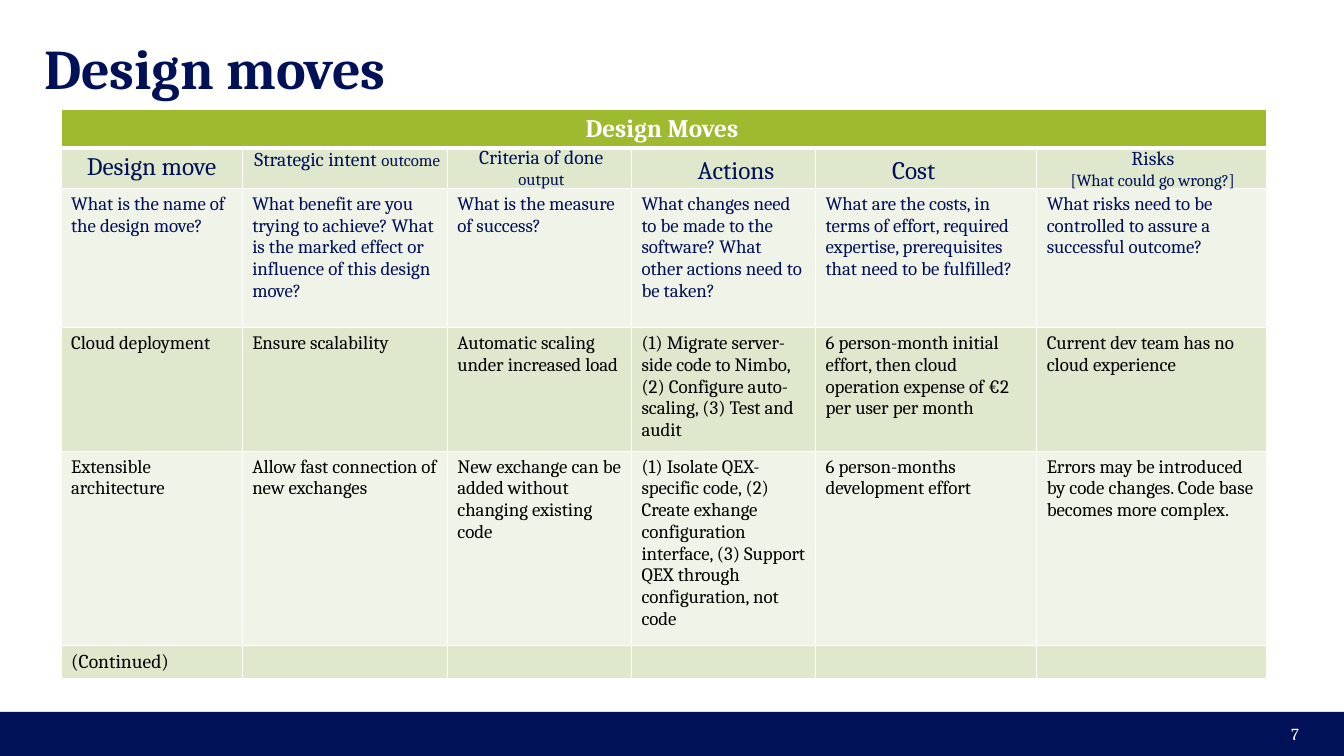
from dataclasses import dataclass

from lxml.etree import SubElement
from pptx import Presentation
from pptx.dml.color import RGBColor
from pptx.enum.shapes import MSO_SHAPE
from pptx.enum.text import MSO_ANCHOR, PP_ALIGN
from pptx.oxml.ns import qn
from pptx.util import Pt

EMU_PER_PIXEL = 914400 / 100.7


@dataclass(frozen=True)
class Theme:
    """Colours, type sizes and font of the slide."""
    font: str = "Cambria"
    navy: str = "001158"
    green: str = "9EBA2E"
    band_dark: str = "DFE7CD"
    band_light: str = "F0F3E8"
    white: str = "FFFFFF"
    black: str = "000000"
    title: float = 40
    heading: float = 18
    label: float = 14
    body: float = 13.5
    small: float = 12


THEME = Theme()

COLUMN_WIDTHS = [181, 205, 184, 184, 221, 230]
ROW_HEIGHTS = [39, 39, 139, 119, 194, 32]

QUESTIONS = [
    "What is the name of the design move?",
    "What benefit are you trying to achieve? What is the marked effect or "
    "influence of this design move?",
    "What is the measure of success?",
    "What changes need to be made to the software? What other actions need "
    "to be taken?",
    "What are the costs, in terms of effort, required expertise, "
    "prerequisites that need to be fulfilled?",
    "What risks need to be controlled to assure a successful outcome?",
]
CLOUD_MOVE = [
    "Cloud deployment",
    "Ensure scalability",
    "Automatic scaling under increased load",
    "(1) Migrate server-side code to Nimbo, (2) Configure auto-scaling, "
    "(3) Test and audit",
    "6 person-month initial effort, then cloud operation expense of €2 per "
    "user per month",
    "Current dev team has no cloud experience",
]
EXTENSIBLE_MOVE = [
    "Extensible architecture",
    "Allow fast connection of new exchanges",
    "New exchange can be added without changing existing code",
    "(1) Isolate QEX-specific code, (2) Create exhange configuration "
    "interface, (3) Support QEX through configuration, not code",
    "6 person-months development effort",
    "Errors may be introduced by code changes. Code base becomes more complex.",
]


def px(pixels):
    """Turn whole pixels into EMU."""
    return round(pixels * EMU_PER_PIXEL)


def write_text(frame, *paragraphs, color=THEME.navy, bold=False,
               align=PP_ALIGN.LEFT):
    """Fill a text frame; each paragraph is a list of (text, size) runs."""
    for index, runs in enumerate(paragraphs):
        paragraph = frame.add_paragraph() if index else frame.paragraphs[0]
        paragraph.alignment = align
        for text, size in runs:
            run = paragraph.add_run()
            run.text = text
            run.font.name = THEME.font
            run.font.size = Pt(size)
            run.font.bold = bold
            run.font.color.rgb = RGBColor.from_string(color)


def add_text(slide, box, *paragraphs, inset=12, anchor=MSO_ANCHOR.TOP,
             **text_format):
    """Add a wrapping text box with equal insets."""
    frame = slide.shapes.add_textbox(*map(px, box)).text_frame
    frame.word_wrap = True
    frame.vertical_anchor = anchor
    frame.margin_left = frame.margin_right = px(inset)
    frame.margin_top = frame.margin_bottom = px(inset)
    write_text(frame, *paragraphs, **text_format)


def add_footer_bar(slide):
    """Add the navy bar along the bottom edge."""
    bar = slide.shapes.add_shape(MSO_SHAPE.RECTANGLE, 0, px(711), px(1343), px(44))
    bar.shadow.inherit = False
    bar.fill.solid()
    bar.fill.fore_color.rgb = RGBColor.from_string(THEME.navy)
    bar.line.fill.background()


def style_cell(cell, fill, top=1, bottom=1):
    """Give a cell its white borders, in points, and its fill."""
    properties = cell._tc.get_or_add_tcPr()
    for side, width in zip("LRTB", (1, 1, top, bottom)):
        border = SubElement(properties, qn(f"a:ln{side}"), w=str(Pt(width)))
        solid = SubElement(border, qn("a:solidFill"))
        SubElement(solid, qn("a:srgbClr"), val=THEME.white)
    cell.fill.solid()
    cell.fill.fore_color.rgb = RGBColor.from_string(fill)


def add_moves_table(slide):
    """Add the table of design moves."""
    blanks = [""] * (len(COLUMN_WIDTHS) - 1)
    center = PP_ALIGN.CENTER
    rows = [
        (["", *blanks], THEME.green, {}, THEME.heading),
        (["Design move", *blanks], THEME.band_dark, {"align": center}, THEME.heading),
        (QUESTIONS, THEME.band_light, {}, THEME.body),
        (CLOUD_MOVE, THEME.band_dark, {"color": THEME.black}, THEME.body),
        (EXTENSIBLE_MOVE, THEME.band_light, {"color": THEME.black}, THEME.body),
        (["(Continued)", *blanks], THEME.band_dark, {"color": THEME.black},
         THEME.label),
    ]
    moves = slide.shapes.add_table(
        len(rows), len(COLUMN_WIDTHS), px(61), px(109),
        px(sum(COLUMN_WIDTHS)), px(sum(ROW_HEIGHTS))).table
    moves.first_row = moves.horz_banding = False
    for column, width in zip(moves.columns, COLUMN_WIDTHS):
        column.width = px(width)
    for index, (texts, fill, text_format, size) in enumerate(rows):
        moves.rows[index].height = px(ROW_HEIGHTS[index])
        for cell, text in zip(moves.rows[index].cells, texts):
            style_cell(cell, fill, top=3 if index == 1 else 1,
                       bottom=3 if index == 0 else 1)
            if text:
                write_text(cell.text_frame, [(text, size)], **text_format)
            else:
                cell.margin_top = cell.margin_bottom = 0
    moves.cell(0, 0).merge(moves.cell(0, len(COLUMN_WIDTHS) - 1))


def add_headings(slide):
    """Add the table heading and the column headings."""
    large, label, small = THEME.heading, THEME.label, THEME.small
    column_headings = [
        ((1030, 134, 244, 40), [("Risks", label)],
         [("[What could go wrong?]", small)]),
        ((822, 142, 182, 48), [("Cost", large)]),
        ((664, 142, 143, 40), [("Actions", large)]),
        ((451, 133, 180, 46), [("Criteria of done ", label), ("output", small)]),
        ((236, 135, 222, 63), [("Strategic intent ", label), ("outcome", small)]),
    ]
    for box, *paragraphs in column_headings:
        add_text(slide, box, *paragraphs, align=PP_ALIGN.CENTER)
    add_text(slide, (293, 100, 737, 40), [("Design Moves", large)],
             color=THEME.white, bold=True, align=PP_ALIGN.CENTER)


def main():
    """Build and save the slide."""
    presentation = Presentation()
    presentation.slide_width, presentation.slide_height = px(1343), px(755)
    slide = presentation.slides.add_slide(presentation.slide_layouts[6])
    add_footer_bar(slide)
    add_text(slide, (44, 44, 1255, 47), [("Design moves", THEME.title)],
             inset=0, anchor=MSO_ANCHOR.MIDDLE, bold=True)
    add_text(slide, (1006, 713, 302, 40), [("7", THEME.small)], inset=10,
             anchor=MSO_ANCHOR.MIDDLE, color=THEME.white, align=PP_ALIGN.RIGHT)
    add_moves_table(slide)
    add_headings(slide)
    presentation.save("out.pptx")


main()
